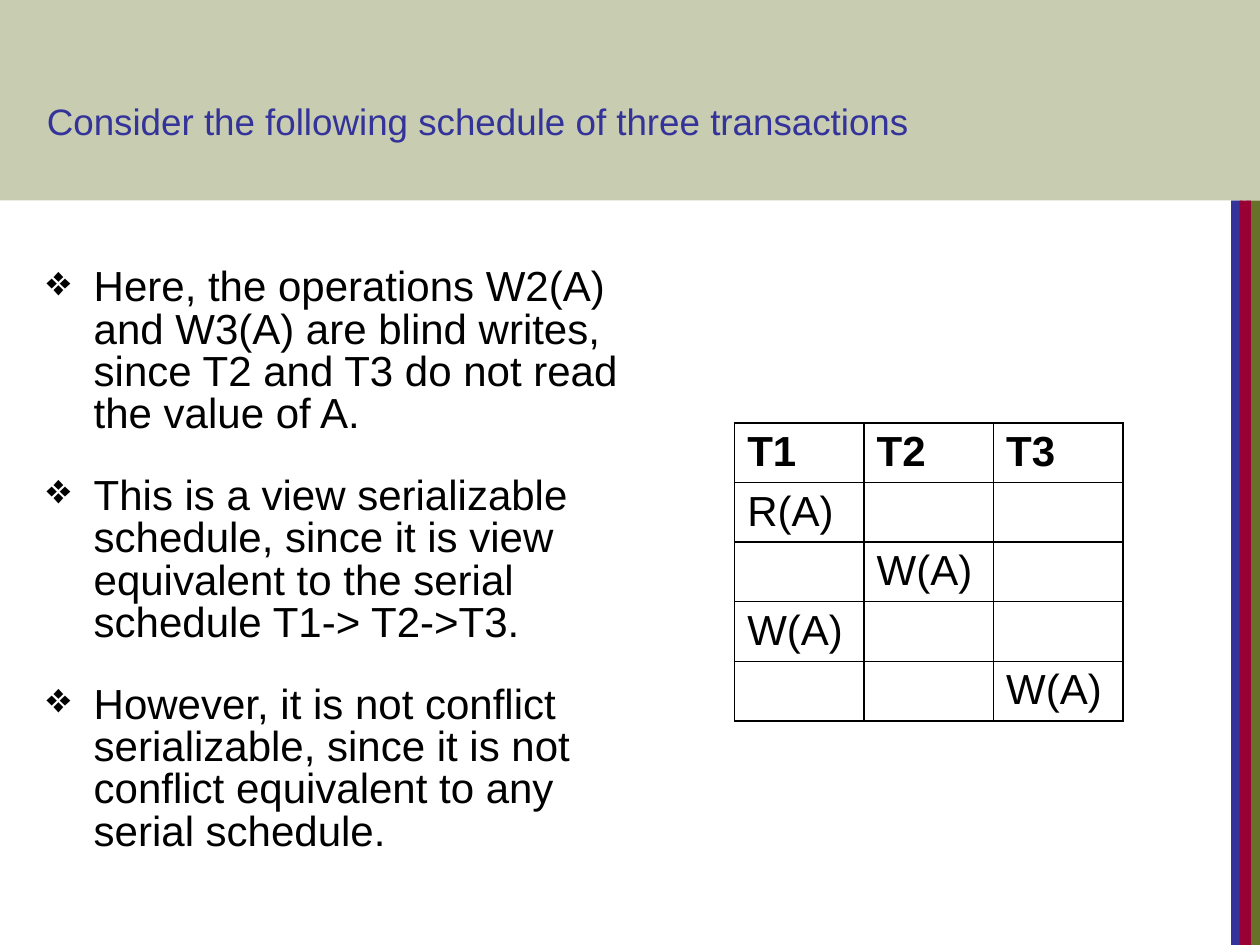
import pptx
import pptx.util
import pptx.dml.color
import pptx.enum.shapes
import pptx.enum.text
import pptx.oxml
import pptx.oxml.ns
from lxml import etree

Cm, Pt = pptx.util.Cm, pptx.util.Pt
RGB = pptx.dml.color.RGBColor
qn = pptx.oxml.ns.qn

BLACK = RGB(0x00, 0x00, 0x00)
BLUE = RGB(0x33, 0x33, 0x99)
RED = RGB(0x99, 0x00, 0x33)
OLIVE = RGB(0x67, 0x72, 0x28)
SAGE = RGB(0xC8, 0xCC, 0xB1)

WIDTH, HEIGHT, BAND_H = 25.4, 19.05, 4.04

STRIPES = [(25.12, 0.28, OLIVE), (24.82, 0.23, BLUE), (24.99, 0.23, RED)]

POINTS = [
    "Here, the operations W2(A) and W3(A) are blind writes, since T2 and T3 "
    "do not read the value of A.",
    "This is a view serializable schedule, since it is view equivalent to the "
    "serial schedule T1-> T2->T3.",
    "However, it is not conflict serializable, since it is not conflict "
    "equivalent to any serial schedule.",
]

SCHEDULE = [
    ["T1", "T2", "T3"],
    ["R(A)", "", ""],
    ["", "W(A)", ""],
    ["W(A)", "", ""],
    ["", "", "W(A)"],
]


def write(p, text, size=24, color=BLACK, bold=False, spacing=None, before=0, bullet=None):
    """Fill a paragraph with one formatted run."""
    if bullet:
        pPr = p._p.get_or_add_pPr()
        pPr.set("marL", str(Cm(0.95)))
        pPr.set("indent", str(-Cm(0.95)))
        etree.SubElement(pPr, qn("a:buChar")).set("char", bullet)
    p.alignment = pptx.enum.text.PP_ALIGN.LEFT
    p.space_before = Pt(before)
    if spacing:
        p.line_spacing = spacing
    r = p.add_run()
    r.text = text
    r.font.name = "Arial"
    r.font.size = Pt(size)
    r.font.bold = bold
    r.font.color.rgb = color


class SlideBuilder:
    def __init__(self, s):
        self.s = s

    def block(self, left, top, width, height, color):
        sp = self.s.shapes.add_shape(
            pptx.enum.shapes.MSO_SHAPE.RECTANGLE, Cm(left), Cm(top), Cm(width), Cm(height))
        sp.shadow.inherit = False
        sp.fill.solid()
        sp.fill.fore_color.rgb = color
        sp.line.fill.background()

    def title(self, text, left, top, width, height):
        sp = self.s.shapes.title
        sp.left, sp.top, sp.width, sp.height = Cm(left), Cm(top), Cm(width), Cm(height)
        # Bring the title in front of the band
        sp.element.getparent().append(sp.element)
        tf = sp.text_frame
        tf.auto_size = pptx.enum.text.MSO_AUTO_SIZE.NONE
        tf.vertical_anchor = pptx.enum.text.MSO_ANCHOR.TOP
        tf.margin_right = 0
        write(tf.paragraphs[0], text, size=21, color=BLUE, spacing=0.9)

    def bullets(self, items, left, top, width, height):
        sp = self.s.shapes.add_textbox(Cm(left), Cm(top), Cm(width), Cm(height))
        tf = sp.text_frame
        tf.word_wrap = True
        for i, item in enumerate(items):
            p = tf.add_paragraph() if i else tf.paragraphs[0]
            write(p, item, spacing=0.84, before=22.5 if i else 0, bullet="❖")

    def table(self, rows, left, top, col_w, row_h):
        n_rows, n_cols = len(rows), len(rows[0])
        tbl = self.s.shapes.add_table(n_rows, n_cols, Cm(left), Cm(top),
                                      Cm(col_w * n_cols), Cm(row_h * n_rows)).table
        for col in tbl.columns:
            col.width = Cm(col_w)
        for i, row in enumerate(rows):
            tbl.rows[i].height = Cm(row_h)
            for j, text in enumerate(row):
                cell = tbl.cell(i, j)
                cell.margin_top = cell.margin_bottom = Cm(0.11)
                self.borders(cell)
                cell.fill.background()
                if text:
                    write(cell.text_frame.paragraphs[0], text, bold=i == 0)

    def borders(self, cell):
        tcPr = cell._tc.get_or_add_tcPr()
        for side in ("a:lnL", "a:lnR", "a:lnT", "a:lnB"):
            ln = etree.SubElement(tcPr, qn(side), w=str(Pt(1)))
            fill = etree.SubElement(ln, qn("a:solidFill"))
            etree.SubElement(fill, qn("a:srgbClr"), val=str(BLACK))


def main():
    prs = pptx.Presentation()
    prs.slide_width, prs.slide_height = Cm(WIDTH), Cm(HEIGHT)
    b = SlideBuilder(prs.slides.add_slide(prs.slide_layouts[5]))

    # Side stripes and header band
    for left, width, color in STRIPES:
        b.block(left, BAND_H, width, HEIGHT - BAND_H, color)
    b.block(0, 0, WIDTH, BAND_H, SAGE)

    # Title
    b.title("Consider the following schedule of three transactions", 0.69, 1.96, 23.04, 1.47)

    # Schedule table and remarks
    b.table(SCHEDULE, 14.81, 8.53, 2.61, 1.2)
    b.bullets(POINTS, 0.69, 5.28, 12.7, 11.73)

    prs.save("out.pptx")


if __name__ == "__main__":
    main()
